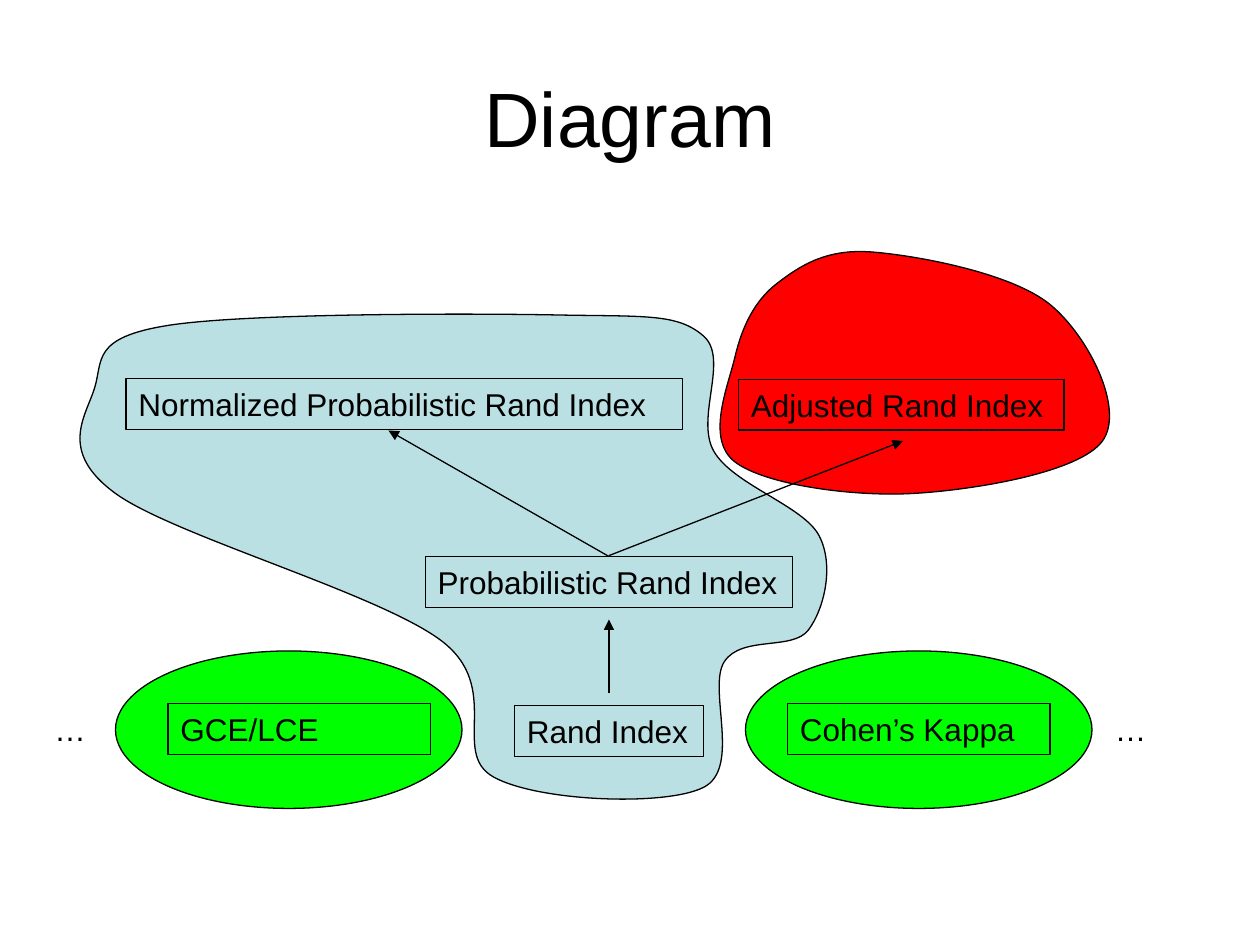
from lxml import etree
from pptx import Presentation
from pptx.dml.color import RGBColor
from pptx.enum.shapes import MSO_CONNECTOR, MSO_SHAPE
from pptx.enum.text import MSO_ANCHOR, MSO_AUTO_SIZE, PP_ALIGN
from pptx.oxml.ns import qn
from pptx.util import Pt

STRAIGHT = MSO_CONNECTOR.STRAIGHT
OVAL = MSO_SHAPE.OVAL
MIDDLE = MSO_ANCHOR.MIDDLE
GROW = MSO_AUTO_SIZE.SHAPE_TO_FIT_TEXT
CENTER, LEFT = PP_ALIGN.CENTER, PP_ALIGN.LEFT

BLACK, RED, GREEN, TEAL = "000000", "FF0000", "00FF00", "BBE0E3"
LABEL_HEIGHT = 29

ADJUSTED_REGION = [(444, 162), (420, 204), (420, 264), (522, 282),
                   (630, 252), (600, 174), (498, 144)]
RAND_REGION = [(54, 222), (66, 282), (252, 366), (282, 444),
               (402, 450), (414, 378), (462, 360), (468, 306),
               (408, 258), (402, 192), (318, 180), (96, 186)]
ELLIPSE_LEFTS = [426, 66]
BOXED_LABELS = [
    ("Rand Index", 294, 403.2, 108),
    ("Probabilistic Rand Index", 243, 318, 210),
    ("Normalized Probabilistic Rand Index", 72, 216.4, 318),
    ("Adjusted Rand Index", 422, 216.8, 186),
    ("Cohen’s Kappa", 450, 402, 150),
    ("GCE/LCE", 96, 402, 150),
]
ELLIPSIS_LEFTS = [630, 24]
ARROWS = [((348, 396), (348, 354)),
          ((348, 318), (222, 246)),
          ((348, 317.5), (516, 252))]


def apply(target, values):
    """Set each attribute in values on the target."""
    for attribute, value in values.items():
        setattr(target, attribute, value)


def color(fill, hex_code):
    """Make a fill solid in the given colour."""
    fill.solid()
    fill.fore_color.rgb = RGBColor.from_string(hex_code)


def outline(item):
    """Give an item the thin black line of the diagram."""
    color(item.line.fill, BLACK)
    item.line.width = Pt(0.74)


def write(holder, text, size, frame_format, paragraph_format):
    """Write one formatted paragraph into a text holder."""
    frame = holder.text_frame
    frame.text = text
    apply(frame, {"word_wrap": True, **frame_format})
    paragraph = frame.paragraphs[0]
    apply(paragraph, paragraph_format)
    font = paragraph.runs[0].font
    apply(font, {"name": "Arial", "size": Pt(size)})
    color(font.fill, BLACK)


def paint(region, hex_code):
    """Fill and outline a region without a shadow."""
    region.shadow.inherit = False
    color(region.fill, hex_code)
    outline(region)


def spline_points(anchors):
    """Return Bezier points of a closed Catmull-Rom curve after its start."""
    count = len(anchors)
    points = []
    for index in range(count):
        before, start, end, after = (
            anchors[(index + step) % count] for step in (-1, 0, 1, 2))
        leave = tuple(s + (e - b) / 6 for b, s, e in zip(before, start, end))
        arrive = tuple(e - (a - s) / 6 for s, e, a in zip(start, end, after))
        points += [leave, arrive, end]
    return points


def add_region(slide, anchors, hex_code):
    """Add a smooth closed region through the anchors."""
    left, top = anchors[0]
    builder = slide.shapes.build_freeform(Pt(left), Pt(top))
    builder.add_line_segments(
        [(Pt(x), Pt(y)) for x, y in spline_points(anchors)], close=True)
    region = builder.convert_to_shape()
    segments = list(region.element.iter(qn("a:lnTo")))
    for first in range(0, len(segments), 3):
        curve = etree.Element(qn("a:cubicBezTo"))
        segments[first].addprevious(curve)
        for segment in segments[first:first + 3]:
            curve.append(segment[0])
            segment.getparent().remove(segment)
    paint(region, hex_code)


def add_ellipse(slide, left):
    """Add a green ellipse behind a side label."""
    ellipse = slide.shapes.add_shape(OVAL, Pt(left), Pt(372), Pt(198), Pt(90))
    paint(ellipse, GREEN)


def add_label(slide, text, left, top, width):
    """Add a text label and return it."""
    label = slide.shapes.add_textbox(
        Pt(left), Pt(top), Pt(width), Pt(LABEL_HEIGHT))
    write(label, text, 18, {"auto_size": GROW},
          {"alignment": LEFT, "space_before": Pt(11.2)})
    return label


def add_arrow(slide, start, end):
    """Add a straight arrow pointing at its end."""
    arrow = slide.shapes.add_connector(
        STRAIGHT, *(Pt(value) for value in start + end))
    outline(arrow)
    etree.SubElement(arrow.line.fill._xPr, qn("a:tailEnd"), type="triangle")
    etree.SubElement(arrow.element.spPr, qn("a:effectLst"))


def add_title(slide, text):
    """Place and format the slide title."""
    title = slide.shapes.title
    apply(title, {"left": Pt(36), "top": Pt(21.6),
                  "width": Pt(648), "height": Pt(90)})
    write(title, text, 44, {"vertical_anchor": MIDDLE}, {"alignment": CENTER})


def main():
    """Build the diagram slide and save it."""
    deck = Presentation()
    apply(deck, {"slide_width": Pt(720), "slide_height": Pt(540)})
    slide = deck.slides.add_slide(deck.slide_layouts[5])
    add_title(slide, "Diagram")
    add_region(slide, ADJUSTED_REGION, RED)
    for left in ELLIPSE_LEFTS:
        add_ellipse(slide, left)
    add_region(slide, RAND_REGION, TEAL)
    for boxed_label in BOXED_LABELS:
        outline(add_label(slide, *boxed_label))
    for start, end in ARROWS:
        add_arrow(slide, start, end)
    for left in ELLIPSIS_LEFTS:
        add_label(slide, "…", left, 402, 48)
    deck.save("out.pptx")


if __name__ == "__main__":
    main()
